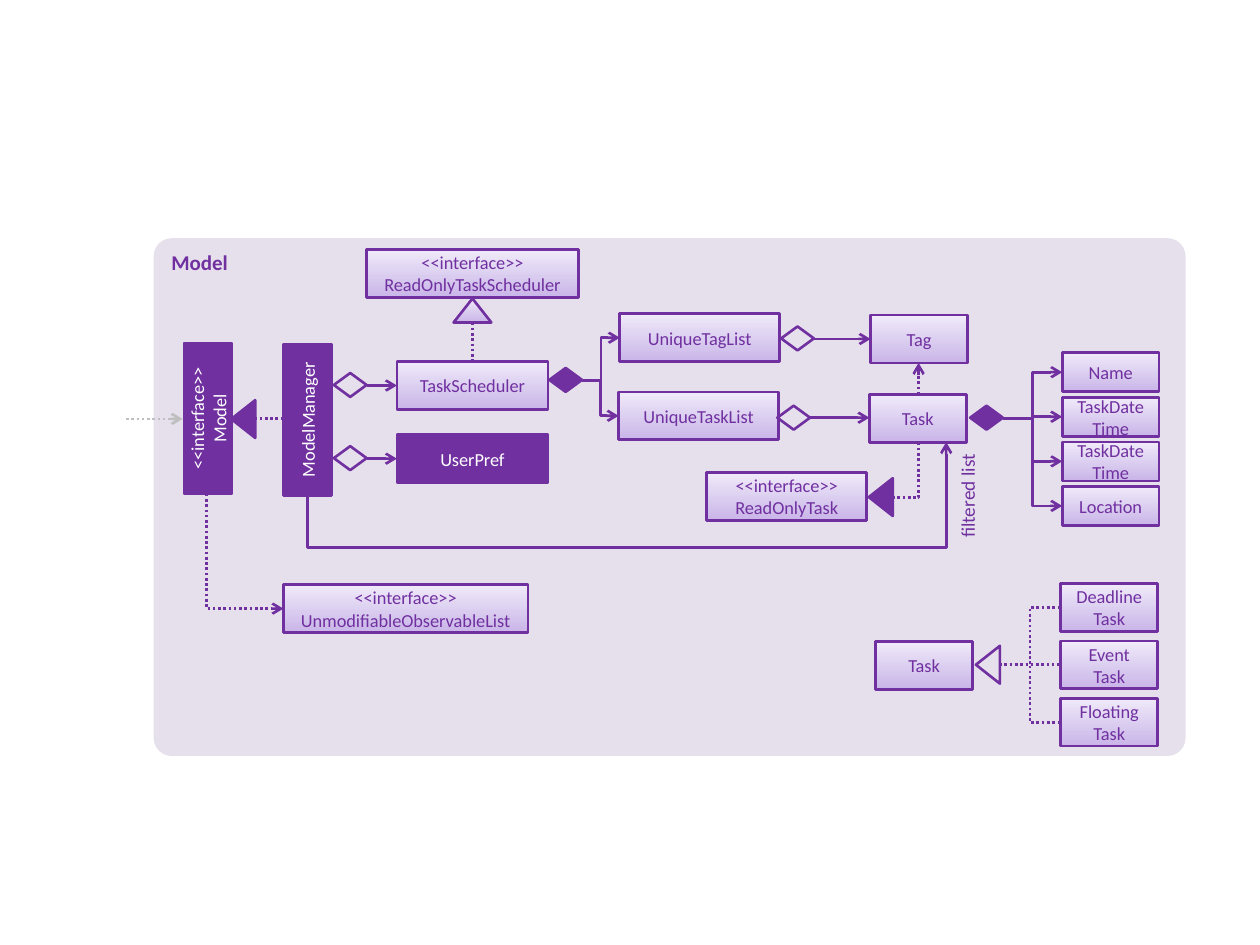
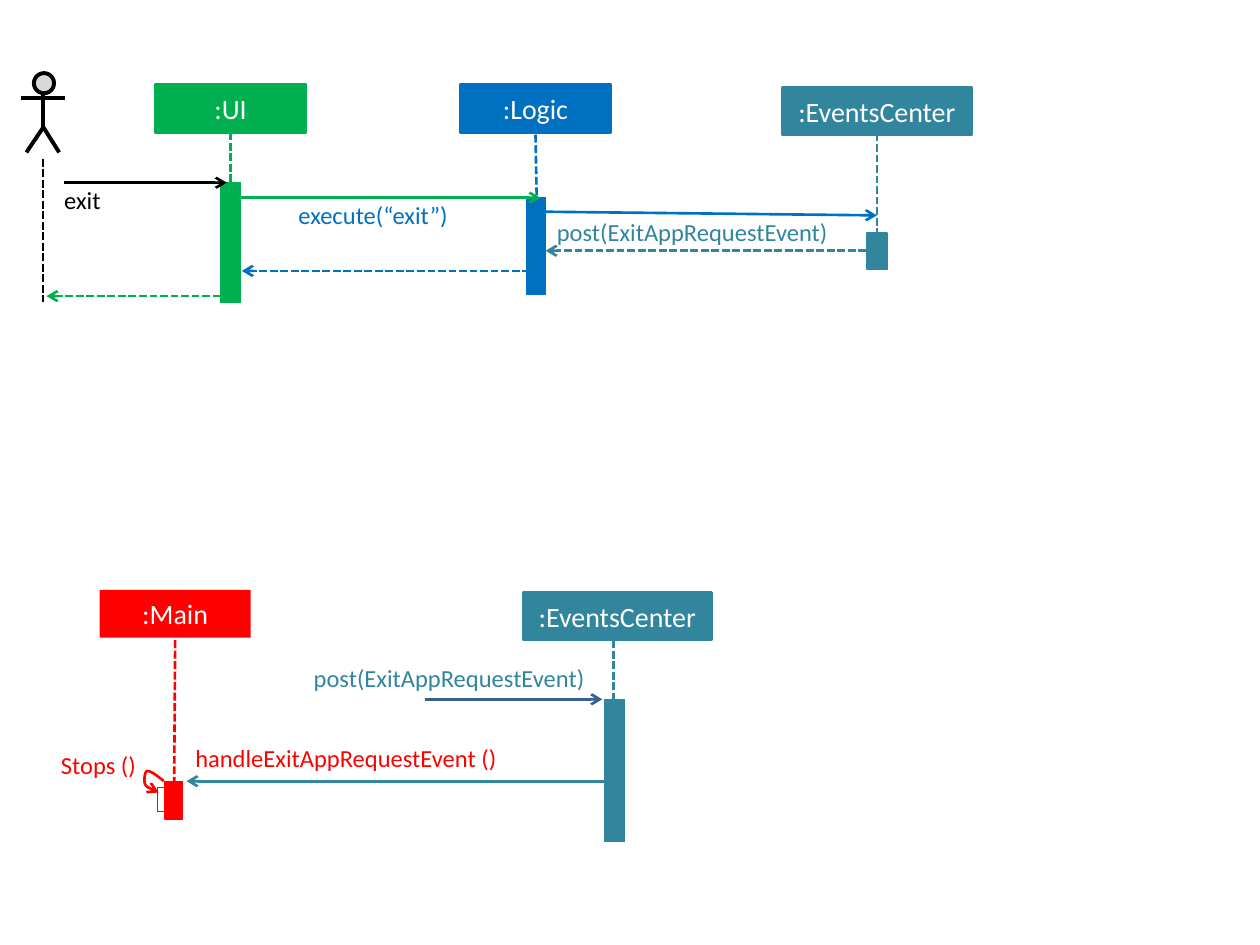
"""Build a class diagram of the model and two sequence diagrams of the exit command."""
from dataclasses import dataclass

from lxml.etree import SubElement
from pptx import Presentation
from pptx.dml.color import RGBColor
from pptx.enum.dml import MSO_LINE as Dash
from pptx.enum.shapes import MSO_CONNECTOR as Connector, MSO_SHAPE as Preset
from pptx.enum.text import MSO_ANCHOR as Anchor, PP_ALIGN as Align
from pptx.oxml.ns import qn
from pptx.util import Pt

Point = tuple[float, float]
Fill = tuple[str, ...]


@dataclass(frozen=True)
class Theme:
    font: str = "Calibri"
    purple: str = "7030A0"
    panel: str = "E6E0EC"
    lilac: Fill = ("C9B5E8", "F0EAF9")
    white: str = "FFFFFF"
    black: str = "000000"
    grey: str = "BFBFBF"
    face: str = "D9D9D9"
    green: str = "00B050"
    blue: str = "0070C0"
    teal: str = "31859C"
    navy: str = "376092"
    red: str = "FF0000"
    node_size: float = 10.5
    label_size: float = 11
    panel_size: float = 12
    message_size: float = 14
    participant_size: float = 16
    thin: float = 0.75
    line: float = 1.5
    thick: float = 2.25


THEME = Theme()
NODE_HEIGHT = 27.4


@dataclass(frozen=True)
class Node:
    left: float
    top: float
    width: float
    height: float = NODE_HEIGHT
    text: str = ""
    fill: Fill = THEME.lilac
    line: str = THEME.purple
    weight: float = THEME.line
    ink: str = THEME.purple
    size: float = THEME.node_size
    preset: Preset = Preset.RECTANGLE
    turn: float = 0


@dataclass(frozen=True)
class Link:
    begin: Point
    end: Point
    color: str = THEME.purple
    dash: Dash | None = None
    arrow: bool = True
    route: str = "line"
    upright: bool = False
    bend: float | None = None
    weight: float = THEME.line


@dataclass(frozen=True)
class Label:
    left: float
    top: float
    width: float
    text: str
    ink: str
    height: float = 17.3
    size: float = THEME.message_size
    align: Align = Align.LEFT
    inset: float = 0
    turn: float = 0


def paint(shape, fill: Fill, line: str, weight: float) -> None:
    """Fill with nothing, one colour or a rising gradient, and set the outline."""
    shape.shadow.inherit = False
    if not fill:
        shape.fill.background()
    elif len(fill) == 1:
        shape.fill.solid()
        shape.fill.fore_color.rgb = RGBColor.from_string(fill[0])
    else:
        shape.fill.gradient()
        shape.fill.gradient_angle = 90
        for stop, color in zip(shape.fill.gradient_stops, fill):
            stop.color.rgb = RGBColor.from_string(color)
    if line:
        shape.line.color.rgb = RGBColor.from_string(line)
        shape.line.width = Pt(weight)
    else:
        shape.line.fill.background()


def write(box, text: str, ink: str, size: float, align: Align, anchor: Anchor):
    """Write one paragraph and return it."""
    frame = box.text_frame
    frame.word_wrap = True
    frame.vertical_anchor = anchor
    para = frame.paragraphs[0]
    para.text = text
    para.alignment = align
    para.font.name = THEME.font
    para.font.size = Pt(size)
    para.font.color.rgb = RGBColor.from_string(ink)
    return para


def draw_node(page, node: Node):
    """Draw a preset shape with its centred text."""
    shape = page.shapes.add_shape(node.preset, Pt(node.left), Pt(node.top), Pt(node.width), Pt(node.height))
    shape.rotation = node.turn
    paint(shape, node.fill, node.line, node.weight)
    if node.text:
        write(shape, node.text, node.ink, node.size, Align.CENTER, Anchor.MIDDLE)
    return shape


def draw_label(page, label: Label) -> None:
    """Draw a free text label."""
    box = page.shapes.add_textbox(Pt(label.left), Pt(label.top), Pt(label.width), Pt(label.height))
    box.rotation = label.turn
    frame = box.text_frame
    frame.margin_left = frame.margin_right = Pt(label.inset)
    frame.margin_top = frame.margin_bottom = Pt(label.inset / 2)
    write(box, label.text, label.ink, label.size, label.align, Anchor.TOP)


def add_arrowhead(shape) -> None:
    """Put an open arrowhead on the far end of a line."""
    SubElement(shape._element.spPr.get_or_add_ln(), qn("a:tailEnd")).set("type", "arrow")


def draw_link(page, link: Link) -> None:
    """Draw a connector; an upright one is turned so that it leaves vertically."""
    (x1, y1), (x2, y2) = link.begin, link.end
    if link.upright:
        mid_x, mid_y, half_x, half_y = (x1 + x2) / 2, (y1 + y2) / 2, (x2 - x1) / 2, (y2 - y1) / 2
        x1, y1, x2, y2 = mid_x - half_y, mid_y + half_x, mid_x + half_y, mid_y - half_x
    kind = Connector.STRAIGHT if link.route == "line" else Connector.ELBOW
    connector = page.shapes.add_connector(kind, Pt(x1), Pt(y1), Pt(x2), Pt(y2))
    connector.line.color.rgb = RGBColor.from_string(link.color)
    connector.line.width = Pt(link.weight)
    if link.dash:
        connector.line.dash_style = link.dash
    if link.arrow:
        add_arrowhead(connector)
    properties = connector._element.spPr
    geometry = properties.find(qn("a:prstGeom"))
    geometry.set("prst", link.route)
    if link.bend is not None:
        guide = SubElement(geometry.find(qn("a:avLst")), qn("a:gd"))
        guide.set("name", "adj1")
        guide.set("fmla", f"val {round(link.bend * 100000)}")
    if link.upright:
        properties.find(qn("a:xfrm")).set("rot", str(90 * 60000))
    SubElement(properties, qn("a:effectLst"))


def draw_outline(page, points: list[Point], color: str, weight: float):
    """Draw an open, unfilled outline through the points."""
    start, *rest = [(Pt(x), Pt(y)) for x, y in points]
    builder = page.shapes.build_freeform(*start)
    builder.add_line_segments(rest, close=False)
    outline = builder.convert_to_shape()
    paint(outline, (), color, weight)
    return outline


def curve(start: Point, first: Point, second: Point, end: Point, steps: int = 8) -> list[Point]:
    """Sample a cubic curve, leaving out its start."""
    def at(t: float) -> Point:
        weights = ((1 - t) ** 3, 3 * t * (1 - t) ** 2, 3 * t * t * (1 - t), t ** 3)
        corners = (start, first, second, end)
        return sum(w * c[0] for w, c in zip(weights, corners)), sum(w * c[1] for w, c in zip(weights, corners))
    return [at(step / steps) for step in range(1, steps + 1)]


def diamond(left: float, middle: float, fill: Fill = ()) -> Node:
    """Describe an aggregation, or a composition when filled."""
    return Node(left, middle - 6.85, 18.7, 13.7, fill=fill, preset=Preset.FLOWCHART_DECISION)


def triangle(left: float, top: float, fill: Fill, turn: float = 270) -> Node:
    """Describe a generalization head."""
    return Node(left, top, 21.6, 13.7, fill=fill, preset=Preset.ISOSCELES_TRIANGLE, turn=turn)


def build_class_diagram(page) -> None:
    """Draw the classes of the model and their relations."""
    panel = draw_node(page, Node(87.8, 136.1, 589.7, 295.9, fill=(THEME.panel,), line="",
                                 preset=Preset.ROUNDED_RECTANGLE))
    panel.adjustments[0] = 0.035
    write(panel, "Model", THEME.purple, THEME.panel_size, Align.LEFT, Anchor.TOP).font.bold = True

    solid = (THEME.purple,)
    dark = {"fill": solid, "ink": THEME.white}
    fields = [(text, 201.6 + 25.45 * row)
              for row, text in enumerate(("Name", "TaskDateTime", "TaskDateTime", "Location"))]
    subtypes = [(f"{kind}\nTask", 333.4 + 32.8 * row)
                for row, kind in enumerate(("Deadline", "Event", "Floating"))]
    nodes = [
        Node(75.6, 225.4, 86.4, text="<<interface>>\nModel", turn=270, **dark),
        Node(132.5, 226.1, 86.4, text="ModelManager", turn=270, **dark),
        Node(226.8, 248.4, 86.4, text="UserPref", **dark),
        Node(226.8, 206.6, 86.4, text="TaskScheduler"),
        Node(209.5, 142.6, 121, text="<<interface>>\nReadOnlyTaskScheduler"),
        Node(354.2, 179.3, 91.4, text="UniqueTagList"),
        Node(353.5, 223.9, 91.4, text="UniqueTaskList"),
        Node(497.5, 180, 55.4, text="Tag"),
        Node(496.8, 225.4, 55.4, text="Task"),
        Node(403.9, 270, 91.4, text="<<interface>>\nReadOnlyTask"),
        Node(162, 334.1, 139.7, text="<<interface>>\nUnmodifiableObservableList"),
        Node(500.4, 366.5, 55.4, text="Task"),
        *(Node(607, top, 55.4, 22.3, text) for text, top in fields),
        *(Node(606.2, top, 55.4, text=text) for text, top in subtypes),
        diamond(190.8, 261.8), diamond(190.8, 220), diamond(313.9, 217.1, solid),
        diamond(446.4, 193.4), diamond(444.2, 238.7), diamond(554.4, 238.7, solid),
        triangle(128.2, 232.6, solid), triangle(492.5, 277.2, solid),
        triangle(259.2, 170.6, THEME.lilac, 0), triangle(553.7, 373, ()),
    ]
    dotted = {"dash": Dash.ROUND_DOT}
    elbow, corner = "bentConnector3", "bentConnector2"
    links = [
        Link((72, 239.4), (104.4, 239.4), THEME.grey, **dotted),
        Link((145.4, 239), (162.7, 239), arrow=False, **dotted),
        Link((118.1, 282.2), (162, 347.8), route=corner, upright=True, **dotted),
        Link((175.7, 282.2), (540.7, 252.7), route=elbow, upright=True, bend=-1.04),
        Link((209.5, 262.1), (226.8, 262.1)),
        Link((209.5, 220.3), (226.8, 220.3)),
        Link((270, 184.3), (270, 207.4), arrow=False, **dotted),
        Link((332.6, 217.4), (354.2, 193), route=elbow),
        Link((332.6, 217.4), (353.5, 237.6), route=elbow),
        Link((465.1, 193.7), (497.5, 193.7)),
        Link((463, 238.7), (496.8, 238.7)),
        Link((524.9, 225.4), (524.9, 207.4), **dotted),
        Link((509.8, 284.4), (524.9, 252), route=corner, arrow=False, **dotted),
        *(Link((573.1, 239), (607, top + 11.15), route=elbow) for _, top in fields),
        *(Link((571, 379.9), (606.2, top + 13.7), route=elbow, arrow=False, **dotted) for _, top in subtypes),
    ]
    for node in nodes:
        draw_node(page, node)
    for link in links:
        draw_link(page, link)
    draw_label(page, Label(518.4, 276.5, 69.1, "filtered list", THEME.purple, 20.9,
                           THEME.label_size, Align.RIGHT, 7.2, 270))


def draw_actor(page) -> None:
    """Draw the stick figure of the user."""
    draw_node(page, Node(19.4, 41.8, 11.5, 11.5, fill=(THEME.face,), line=THEME.black,
                         weight=THEME.thick, preset=Preset.FLOWCHART_CONNECTOR))
    for begin, end in (((24.8, 53.3), (24.8, 73.4)), ((12.2, 56.2), (37.4, 56.2))):
        draw_link(page, Link(begin, end, THEME.black, arrow=False, weight=THEME.thick))
    draw_outline(page, [(15.1, 87.1), (24.8, 72.7), (33.8, 87.1)], THEME.black, THEME.thick)


def build_sequence_diagrams(page) -> None:
    """Draw the messages that follow the exit command."""
    black, green, blue, teal, red = THEME.black, THEME.green, THEME.blue, THEME.teal, THEME.red
    dashed = {"dash": Dash.SQUARE_DOT}
    draw_actor(page)
    lifelines = [((24.5, 90.7), (24.5, 172.8), black), ((131.8, 75.6), (131.8, 104.4), green),
                 ((306, 77), (306.7, 113), blue), ((501.1, 76.3), (501.1, 133.2), teal),
                 ((350.6, 365.8), (350.6, 481), teal), ((100.1, 365.8), (99.4, 468), red)]
    for begin, end, color in lifelines:
        draw_link(page, Link(begin, end, color, arrow=False, **dashed))
    participants = [(88.6, 48.2, 86.4, ":UI", green, green), (262.8, 48.2, 86.4, ":Logic", blue, blue),
                    (447.1, 49.7, 108, ":EventsCenter", teal, teal),
                    (298.8, 338.4, 108, ":EventsCenter", teal, teal), (56.9, 337, 86.4, ":Main", red, "")]
    for left, top, width, text, color, line in participants:
        draw_node(page, Node(left, top, width, text=text, fill=(color,), line=line, ink=THEME.white,
                             size=THEME.participant_size))
    activations = [(126, 104.4, 11.5, 68.4, green), (301, 113, 10.8, 55.4, blue), (495.4, 133.2, 11.5, 20.9, teal),
                   (345.6, 399.6, 11.5, 81.4, teal), (94.3, 446.4, 10.1, 21.6, red)]
    for *place, color in activations:
        draw_node(page, Node(*place, fill=(color,), line=color, weight=THEME.thin))
    draw_node(page, Node(90, 450, 7.9, 13.7, fill=(), line=red, weight=THEME.thin))
    messages = [
        Link((36.7, 104.4), (129.6, 104.4), black), Link((136.8, 113), (308.9, 113), green),
        Link((311, 121), (501.1, 123.1), blue), Link((501.1, 143.3), (311.8, 143.3), teal, **dashed),
        Link((308.9, 154.8), (138.2, 154.8), blue, **dashed), Link((126, 169.2), (26.6, 169.2), green, **dashed),
        Link((242.6, 399.6), (344.2, 399.6), THEME.navy), Link((347, 446.4), (106.6, 446.4), teal),
    ]
    for message in messages:
        draw_link(page, message)
    loop = [(93.6, 446.4)]
    for bend in (((90, 443.5), (86.4, 440.6), (84.2, 440.6)), ((82.8, 440.6), (82.1, 445.7), (82.8, 447.8)),
                 ((83.5, 450), (87.1, 451.4), (90.7, 452.9))):
        loop += curve(loop[-1], *bend)
    add_arrowhead(draw_outline(page, loop, red, THEME.line))
    for label in (
        Label(36.7, 105.8, 71.3, "exit", black), Label(170.6, 114.5, 118.1, "execute(“exit”)", blue),
        Label(318.2, 123.8, 157.7, "post(ExitAppRequestEvent)", teal),
        Label(179.3, 378.7, 163.4, "post(ExitAppRequestEvent)", teal),
        Label(111.6, 424.8, 218.2, "handleExitAppRequestEvent ()", red),
        Label(15.1, 428.4, 62.6, "Stops ()", red, align=Align.RIGHT),
    ):
        draw_label(page, label)


def main() -> None:
    """Build and save the deck."""
    deck = Presentation()
    deck.slide_width, deck.slide_height = Pt(720), Pt(540)
    for build in (build_class_diagram, build_sequence_diagrams):
        build(deck.slides.add_slide(deck.slide_layouts[6]))
    deck.save("out.pptx")


if __name__ == "__main__":
    main()
